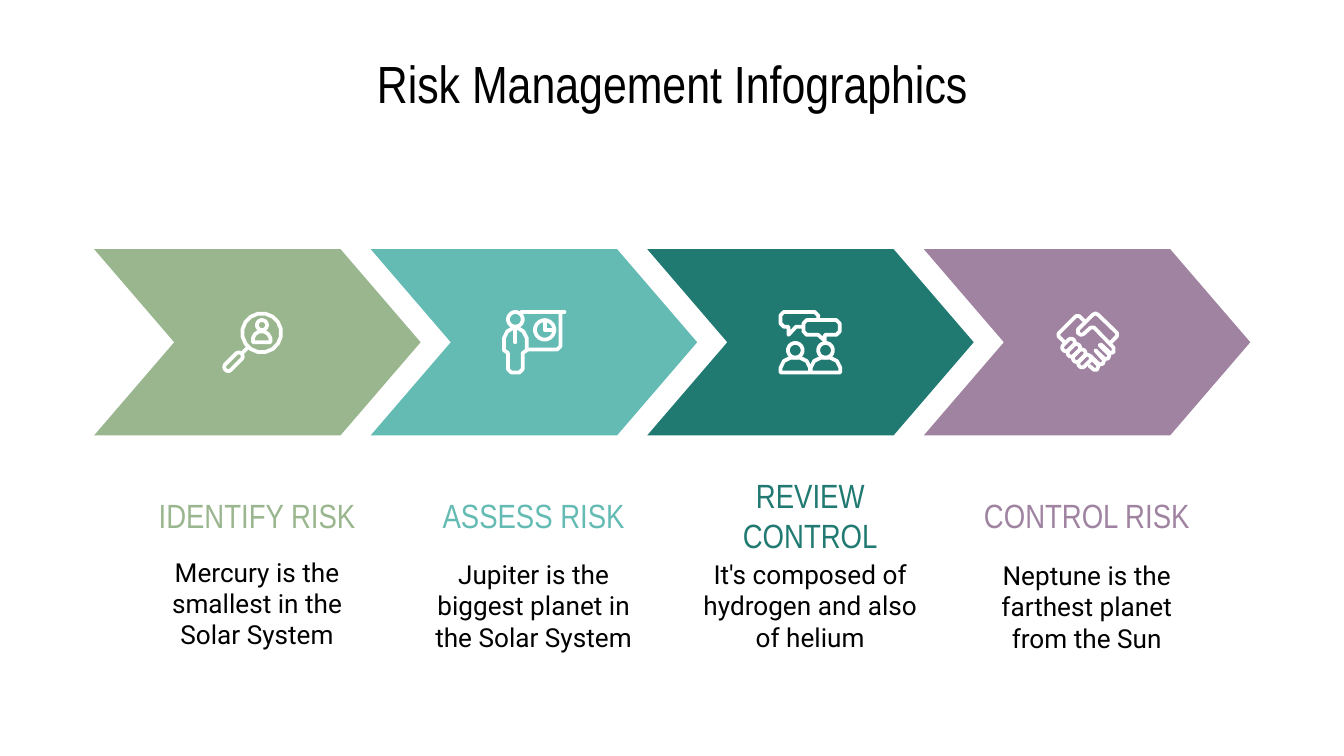
from collections import namedtuple
from math import cos, pi, sin

from lxml.etree import SubElement
from pptx import Presentation
from pptx.dml.color import RGBColor
from pptx.enum.shapes import MSO_SHAPE
from pptx.enum.text import MSO_ANCHOR, MSO_AUTO_SIZE, PP_ALIGN
from pptx.oxml.ns import qn
from pptx.util import Cm, Pt

Box = namedtuple("Box", "left top width height")
Stroke = namedtuple("Stroke", "points closed")

COLORS = {
    "text": "000000",
    "icon": "FFFFFF",
    "identify": "99B68E",
    "assess": "64BBB3",
    "review": "217A72",
    "control": "9F83A1",
}
HEADING_FONT, BODY_FONT = "Arial Narrow", "Roboto"
ICON_GRID = 48  # icon units along each side


def outline(*points):
    return Stroke(points, True)


def line(*points):
    return Stroke(points, False)


def pill(x, y, length, thickness, steps=16):
    """Capsule around (x, y) that rises... along the 45 degree diagonal."""
    radius, reach = thickness / 2, (length - thickness) / 2
    points = []
    for step in range(steps):
        turn = (step + 0.5) * 2 * pi / steps
        side = reach if cos(turn) > 0 else -reach
        along, across = side + radius * cos(turn), radius * sin(turn)
        points.append((x + (along + across) * cos(pi / 4),
                       y + (across - along) * sin(pi / 4)))
    return Stroke(points, True)


def circle(x, y, diameter):
    return pill(x, y, diameter, diameter)


# Icons: lists of parts, each a list of strokes on the icon grid
MAGNIFIER = [
    [circle(27, 17, 29), pill(6, 38.5, 17, 6), line((12.5, 32), (16.5, 28))],
    [circle(27.25, 11.25, 7.5),
     outline((20.5, 24), (20.5, 21), (22, 18), (25, 16), (29, 16),
             (32, 18), (33.5, 21), (33.5, 24))],
]
PRESENTER = [
    [circle(10, 7, 11),
     outline((8, 13.5), (4, 16), (1.5, 21), (1.5, 30), (4.5, 32), (4.5, 44),
             (7, 46.5), (13, 46.5), (15.5, 44), (15.5, 32), (18.5, 30),
             (18.5, 21), (16, 16), (12, 13.5)),
     line((10, 14), (10, 24)),
     line((14.5, 1.5), (46.5, 1.5)),
     line((43.5, 1.5), (43.5, 27), (41, 29.5), (19, 29.5))],
    [circle(31.75, 14.75, 14.5), line((32, 7.5), (32, 15), (39, 15))],
]
BUBBLES = [
    line((29.5, 6), (29.5, 4), (27, 1.5), (4, 1.5), (1.5, 4), (1.5, 10),
         (4, 12.5), (7.5, 12.5), (7.5, 18.5), (13, 12.5), (18, 12.5)),
    outline((21, 7.5), (43, 7.5), (45.5, 10), (45.5, 16), (43, 18.5),
            (34.5, 18.5), (34.5, 23), (29.5, 18.5), (21, 18.5),
            (18.5, 16), (18.5, 10)),
]
SHOULDERS = [(1.5, 46.5), (1.5, 43), (4, 38), (9, 35.5),
             (16, 35.5), (21, 38), (23.5, 43), (23.5, 46.5)]
PEOPLE_SHIFTS = (0, 22.5)
DISCUSSION = [
    BUBBLES
    + [circle(12.5 + shift, 30, 11) for shift in PEOPLE_SHIFTS]
    + [outline(*((x + shift, y) for x, y in SHOULDERS)) for shift in PEOPLE_SHIFTS],
]
HANDSHAKE = [
    [line((7, 24), (2.5, 19.5), (2.5, 17.5), (15.5, 4.5), (18, 4.5), (22, 8.5)),
     line((41.5, 24), (46, 19.5), (46, 17), (32, 3.5), (30, 2.5), (28, 3.5),
          (17, 14.5), (17, 17), (19, 18.5), (21, 18), (26.5, 13), (29, 13),
          (43.5, 28), (43.5, 31.5), (41, 32), (34, 25.5)),
     line((33, 26), (40.5, 33.5), (39.5, 36), (37, 36.5), (30, 30)),
     line((30, 30), (36.5, 37.5), (35.5, 40), (33, 40.5), (26, 34)),
     line((28, 37), (32.5, 41.5), (31, 44.5), (29, 44.5), (25.5, 41.5))]
    + [pill(10 + 4 * i, 26 + 4 * i, 11, 5.5) for i in range(4)],
]

# Color, heading, description, drop of the description below the chevron's top, icon
STEPS = [
    ("identify", "IDENTIFY RISK",
     "Mercury is the smallest in the Solar System", 6.07, MAGNIFIER),
    ("assess", "ASSESS RISK",
     "Jupiter is the biggest planet in the Solar System", 6.11, PRESENTER),
    ("review", "REVIEW CONTROL",
     "It's composed of hydrogen and also of helium", 6.11, DISCUSSION),
    ("control", "CONTROL RISK",
     "Neptune is the farthest planet from the Sun", 6.13, HANDSHAKE),
]


def rgb(name):
    return RGBColor.from_string(COLORS[name])


def set_text(holder, text, size, font, color):
    frame = holder.text_frame
    frame.text = text
    frame.word_wrap = True
    frame.auto_size = MSO_AUTO_SIZE.NONE
    frame.vertical_anchor = MSO_ANCHOR.MIDDLE
    frame.margin_left = frame.margin_right = Cm(0.25)
    frame.margin_top = frame.margin_bottom = Cm(0.25)
    paragraph = frame.paragraphs[0]
    paragraph.alignment = PP_ALIGN.CENTER
    run_font = paragraph.runs[0].font
    run_font.size, run_font.name = Pt(size), font
    run_font.color.rgb = rgb(color)


def add_title(slide, box):
    title = slide.shapes.title
    title.left, title.top, title.width, title.height = map(Cm, box)
    set_text(title, "Risk Management Infographics", 28, HEADING_FONT, "text")


def add_label(slide, box, text, size, font, color):
    label = slide.shapes.add_textbox(*map(Cm, box))
    set_text(label, text, size, font, color)


def draw_icon_part(slide, box, strokes):
    unit = box.width / ICON_GRID
    builder = None
    for stroke in strokes:
        start, *rest = [(Cm(box.left + x * unit), Cm(box.top + y * unit))
                        for x, y in stroke.points]
        if builder is None:
            builder = slide.shapes.build_freeform(*start)
        else:
            builder.move_to(*start)
        builder.add_line_segments(rest, close=stroke.closed)
    part = builder.convert_to_shape()
    part.shadow.inherit = False
    part.fill.background()
    part.line.color.rgb = rgb("icon")
    part.line.width = Pt(2)
    # Rounded ends and corners
    pen = part.line._get_or_add_ln()
    pen.set("cap", "rnd")
    SubElement(pen, qn("a:round"))


def add_step(slide, box, color, heading, description, drop, icon):
    # Chevron
    chevron = slide.shapes.add_shape(MSO_SHAPE.CHEVRON, *map(Cm, box))
    chevron.adjustments[0] = 0.43
    chevron.shadow.inherit = False
    chevron.fill.solid()
    chevron.fill.fore_color.rgb = rgb(color)
    chevron.line.fill.background()

    # Icon
    icon_box = Box(box.left + 2.48, box.top + 1.15, 1.22, 1.22)
    for strokes in icon:
        draw_icon_part(slide, icon_box, strokes)

    # Heading and description
    text_left = box.left + 0.73
    add_label(slide, Box(text_left, box.top + 4.7, 4.7, 0.66),
              heading, 18, HEADING_FONT, color)
    add_label(slide, Box(text_left, box.top + drop, 4.7, 1.24),
              description, 14, BODY_FONT, "text")


def main():
    deck = Presentation()
    deck.slide_width, deck.slide_height = Cm(25.4), Cm(14.29)
    slide = deck.slides.add_slide(deck.slide_layouts[5])
    add_title(slide, Box(1.27, 1.12, 22.86, 0.9))
    first_left, last_left = 1.78, 17.46
    pitch = (last_left - first_left) / (len(STEPS) - 1)
    for index, step in enumerate(STEPS):
        add_step(slide, Box(first_left + index * pitch, 4.71, 6.17, 3.52), *step)
    deck.save("out.pptx")


if __name__ == "__main__":
    main()
